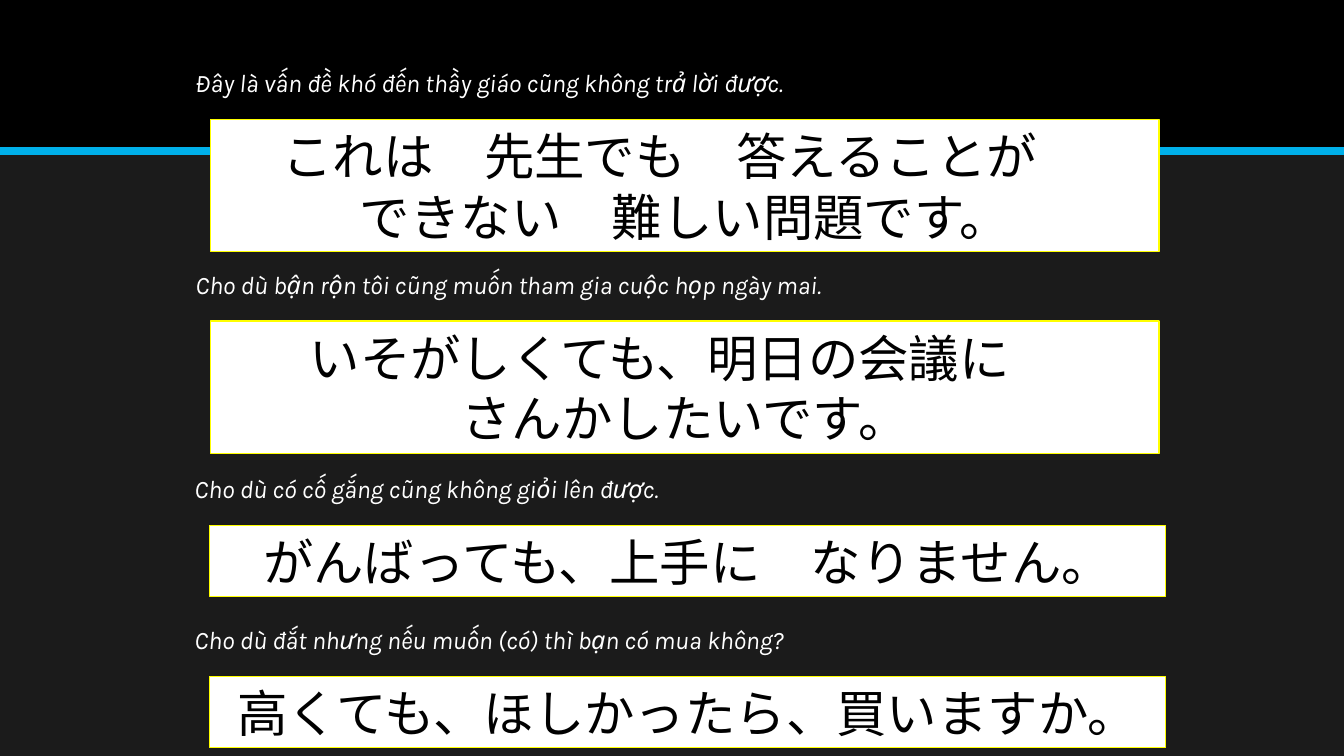
from lxml import etree
from pptx import Presentation
from pptx.dml.color import RGBColor
from pptx.enum import shapes, text
from pptx.oxml.ns import qn
from pptx.util import Pt

COLORS = {
    "background": "1B1B1B",
    "band": "000000",
    "rule": "00B0EA",
    "card": "FFFFFF",
    "border": "FFFF00",
    "answer": "000000",
    "prompt": "FFFFFF",
}
SLIDE_W, SLIDE_H, BAND_H = 960, 540, 108

# Prompt, answer lines, left and top of the prompt, prompt width, card width
EXERCISES = [
    ("Đây là vấn đề khó đến thầy giáo cũng không trả lời được.",
     ["これは　先生でも　答えることが　", "できない　難しい問題です。"],
     132.5, 44.6, 473.8, 677.5),
    ("Cho dù bận rộn tôi cũng muốn tham gia cuộc họp ngày mai.",
     ["いそがしくても、明日の会議に　", "さんかしたいです。"],
     132.5, 188.6, 491.8, 677.5),
    ("Cho dù có cố gắng cũng không giỏi lên được.",
     ["がんばっても、上手に　なりません。"],
     131.8, 334.5, 378, 682.6),
    ("Cho dù đắt nhưng nếu muốn (có) thì bạn có mua không?",
     ["高くても、ほしかったら、買いますか。"],
     131.8, 442.6, 474.5, 682.6),
]
CARD_INDENT, CARD_DROP = 18, 40.8
LINE_H, PADDING = 43.6, 7.2


class SlideBuilder:
    def __init__(self, slide):
        self.slide = slide

    def color(self, name):
        return RGBColor.from_string(COLORS[name])

    def background(self, name):
        fill = self.slide.background.fill
        fill.solid()
        fill.fore_color.rgb = self.color(name)

    def rect(self, x, y, w, h, fill, border=None):
        s = self.slide.shapes.add_shape(
            shapes.MSO_SHAPE.RECTANGLE, Pt(x), Pt(y), Pt(w), Pt(h))
        s.shadow.inherit = False
        s.fill.solid()
        s.fill.fore_color.rgb = self.color(fill)
        if border:
            s.line.color.rgb = self.color(border)
            s.line.width = Pt(1)
        else:
            s.line.fill.background()
        return s

    def line(self, x1, y1, x2, y2, color, width):
        c = self.slide.shapes.add_connector(
            shapes.MSO_CONNECTOR.STRAIGHT, Pt(x1), Pt(y1), Pt(x2), Pt(y2))
        c.line.color.rgb = self.color(color)
        c.line.width = Pt(width)
        etree.SubElement(c._element.spPr, qn("a:effectLst"))

    def add_lines(self, s, lines, font, size, color, align, italic=False):
        tf = s.text_frame
        tf.word_wrap = True
        tf.auto_size = text.MSO_AUTO_SIZE.SHAPE_TO_FIT_TEXT
        for i, line in enumerate(lines):
            p = tf.add_paragraph() if i else tf.paragraphs[0]
            p.alignment = align
            r = p.add_run()
            r.text = line
            r.font.name = font
            r.font.size = Pt(size)
            r.font.italic = italic
            r.font.color.rgb = self.color(color)

    def card(self, x, y, w, lines):
        h = len(lines) * LINE_H + PADDING
        s = self.rect(x, y, w, h, "card", "border")
        self.add_lines(s, lines, "Calibri", 36, "answer", text.PP_ALIGN.CENTER)

    def prompt(self, x, y, w, line):
        s = self.slide.shapes.add_textbox(Pt(x), Pt(y), Pt(w), Pt(29))
        self.add_lines(s, [line], "Karla", 18, "prompt", text.PP_ALIGN.LEFT, True)


def main():
    prs = Presentation()
    prs.slide_width, prs.slide_height = Pt(SLIDE_W), Pt(SLIDE_H)
    builder = SlideBuilder(prs.slides.add_slide(prs.slide_layouts[6]))

    # Backdrop: dark page, black band and blue rule
    builder.background("background")
    builder.rect(0, 0, SLIDE_W, BAND_H, "band")
    builder.line(0, BAND_H, SLIDE_W, BAND_H, "rule", 6)

    # Exercises: each prompt sits above its answer card
    for prompt, answer, x, y, prompt_w, card_w in EXERCISES:
        builder.card(x + CARD_INDENT, y + CARD_DROP, card_w, answer)
        builder.prompt(x, y, prompt_w, prompt)

    prs.save("out.pptx")


if __name__ == "__main__":
    main()
